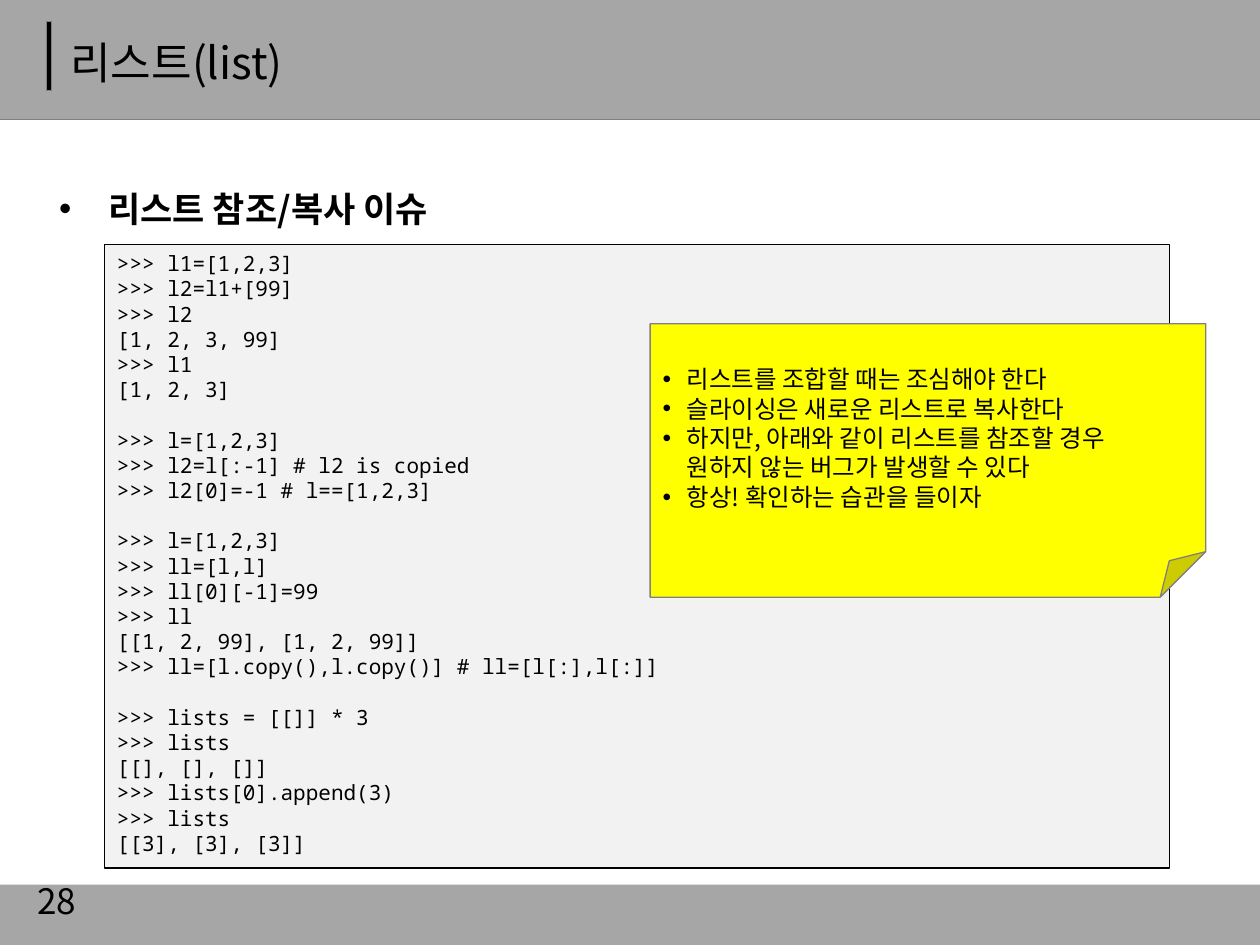
"""Build a slide on list references and copies in Python."""
from lxml.etree import SubElement
from pptx import Presentation
from pptx.dml.color import RGBColor
from pptx.enum.shapes import MSO_CONNECTOR as Connector, MSO_SHAPE as Shape
from pptx.enum.text import MSO_ANCHOR as Anchor
from pptx.oxml.ns import qn
from pptx.util import Inches, Pt

TITLE = "리스트(list)"
HEADING = "리스트 참조/복사 이슈"
PAGE_NUMBER = "28"
CODE_GROUPS = [
    [">>> l1=[1,2,3]", ">>> l2=l1+[99]", ">>> l2", "[1, 2, 3, 99]", ">>> l1", "[1, 2, 3]"],
    [">>> l=[1,2,3]", ">>> l2=l[:-1] # l2 is copied", ">>> l2[0]=-1 # l==[1,2,3]"],
    [
        ">>> l=[1,2,3]", ">>> ll=[l,l]", ">>> ll[0][-1]=99", ">>> ll",
        "[[1, 2, 99], [1, 2, 99]]", ">>> ll=[l.copy(),l.copy()] # ll=[l[:],l[:]]",
    ],
    [
        ">>> lists = [[]] * 3", ">>> lists", "[[], [], []]",
        ">>> lists[0].append(3)", ">>> lists", "[[3], [3], [3]]",
    ],
]
NOTES = [
    "리스트를 조합할 때는 조심해야 한다",
    "슬라이싱은 새로운 리스트로 복사한다",
    "하지만, 아래와 같이 리스트를 참조할 경우\v원하지 않는 버그가 발생할 수 있다",
    "항상! 확인하는 습관을 들이자",
]

THEME = {
    "band": "A6A6A6", "edge": "808080", "ink": "000000", "panel": "F2F2F2", "note": "FFFF00",
    "sans": "Noto Sans CJK KR", "mono": "Noto Sans Mono",
    "title": 25.2, "heading": 20, "code": 12, "body": 14, "number": 20,
    "code_line": 14.4, "note_line": 16.8, "rule": 0.75,
}
WIDTH, HEIGHT = 10, 7.5
HEADER_BOTTOM, FOOTER_TOP = 0.95, 7.02
PLACES = {
    "header": (0, 0, WIDTH, HEADER_BOTTOM),
    "marker": (0.37, 0.17, 0.04, 0.55),
    "footer": (0, FOOTER_TOP, WIDTH, HEIGHT - FOOTER_TOP),
    "heading": (0.37, 1.15, 9.28, 5.15),
    "title": (0.46, 0.14, 8.62, 0.62),
    "code": (0.83, 1.94, 8.45, 4.95),
    "note": (5.16, 2.57, 4.41, 2.17),
    "number": (0.2, 6.95, 2.33, 0.4),
}


def color(name):
    return RGBColor.from_string(THEME[name])


def apply(target, values):
    for name, value in values.items():
        setattr(target, name, value)


def add_panel(page, place, fill, edge=None, kind=Shape.RECTANGLE):
    panel = page.shapes.add_shape(kind, *map(Inches, PLACES[place]))
    panel.shadow.inherit = False
    panel.fill.solid()
    panel.fill.fore_color.rgb = color(fill)
    if edge:
        panel.line.color.rgb = color(edge)
        panel.line.width = Pt(THEME["rule"])
    else:
        panel.line.fill.background()
    return panel


def add_text_box(page, place):
    return page.shapes.add_textbox(*map(Inches, PLACES[place]))


def write(shape, lines, size, face="sans", bold=False, indent=0, frame_format=None):
    frame = shape.text_frame
    apply(frame, {"word_wrap": True, "vertical_anchor": Anchor.TOP, **(frame_format or {})})
    for index, (text, para_format) in enumerate(lines):
        para = frame.add_paragraph() if index else frame.paragraphs[0]
        para.text = text
        props = para._p.get_or_add_pPr()
        props.set("algn", "l")
        if indent:
            props.set("marL", str(Inches(indent)))
            props.set("indent", str(-Inches(indent)))
            SubElement(props, qn("a:buFont")).set("typeface", "Arial")
            SubElement(props, qn("a:buChar")).set("char", "•")
        apply(para, para_format)
        for span in para.runs:
            apply(span.font, {"size": Pt(THEME[size]), "bold": bold, "name": THEME[face]})
            span.font.color.rgb = color("ink")
            SubElement(span.font._element, qn("a:ea")).set("typeface", THEME[face])


def add_rule(page):
    rule = page.shapes.add_connector(
        Connector.STRAIGHT, 0, Inches(HEADER_BOTTOM), Inches(WIDTH), Inches(HEADER_BOTTOM)
    )
    rule.line.color.rgb = color("edge")
    rule.line.width = Pt(THEME["rule"])
    SubElement(rule._element.spPr, qn("a:effectLst"))


def code_lines():
    for group_index, group in enumerate(CODE_GROUPS):
        for line_index, text in enumerate(group):
            opens_gap = group_index and not line_index
            yield text, {"space_before": Pt(THEME["code_line"])} if opens_gap else {}


def main():
    deck = Presentation()
    apply(deck, {"slide_width": Inches(WIDTH), "slide_height": Inches(HEIGHT)})
    page = deck.slides.add_slide(deck.slide_layouts[6])

    add_panel(page, "header", "band")
    add_rule(page)
    add_panel(page, "marker", "ink", "edge")
    add_panel(page, "footer", "band")

    write(add_text_box(page, "heading"), [(HEADING, {})], "heading", bold=True, indent=0.39,
          frame_format={"margin_top": Inches(0.34)})
    write(add_text_box(page, "title"), [(TITLE, {})], "title",
          frame_format={"margin_top": Inches(0.14), "margin_bottom": 0})
    write(add_panel(page, "code", "panel", "ink"), code_lines(), "code", face="mono")
    note = add_panel(page, "note", "note", "edge", Shape.FOLDED_CORNER)
    note_format = {"line_spacing": Pt(THEME["note_line"])}
    write(note, [(text, note_format) for text in NOTES], "body", indent=0.19,
          frame_format={"vertical_anchor": Anchor.MIDDLE})
    write(add_text_box(page, "number"), [(PAGE_NUMBER, {})], "number",
          frame_format={"vertical_anchor": Anchor.MIDDLE})

    deck.save("out.pptx")


if __name__ == "__main__":
    main()
